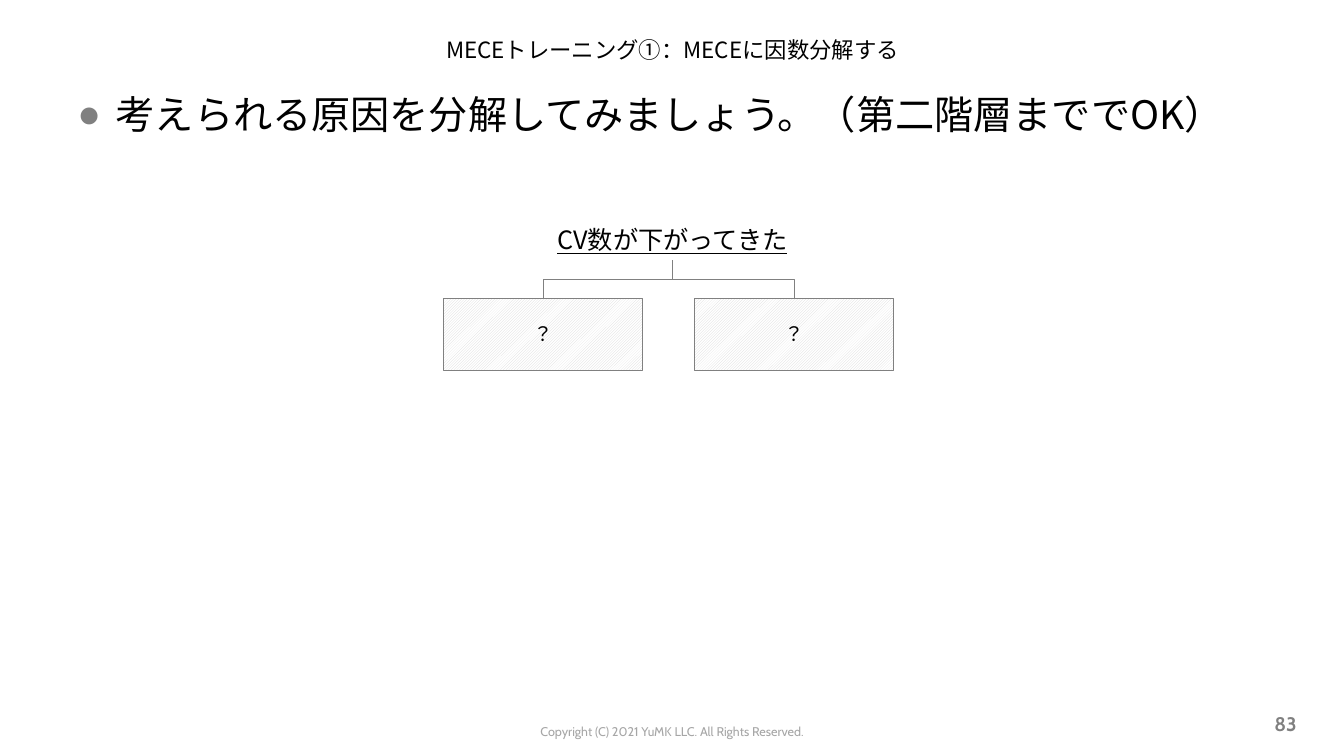
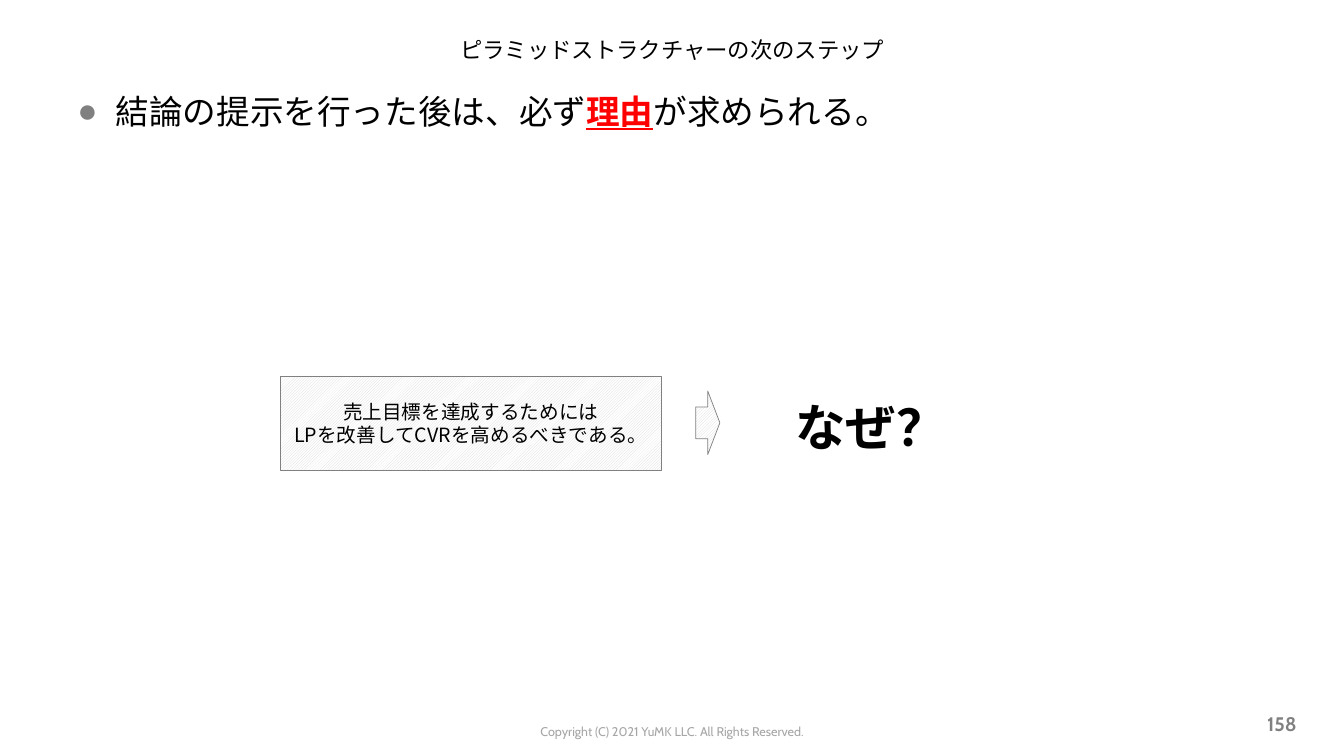
from lxml import etree
from pptx import Presentation
from pptx.dml.color import RGBColor
from pptx.enum.dml import MSO_PATTERN
from pptx.enum.shapes import MSO_CONNECTOR, MSO_SHAPE
from pptx.enum.text import MSO_ANCHOR, PP_ALIGN
from pptx.oxml.ns import qn
from pptx.util import Inches, Pt

COLORS = {
    "text": "000000",
    "gray": "808080",
    "footer": "A6A6A6",
    "hatch": "D9D9D9",
    "paper": "FFFFFF",
    "accent": "FF0000",
}
RGB = {name: RGBColor.from_string(value) for name, value in COLORS.items()}
JAPANESE = "Noto Sans CJK JP"
LATIN = "Cabin"


def write(shape, lines, size, align=PP_ALIGN.CENTER, anchor=MSO_ANCHOR.TOP,
          font=JAPANESE, color="text", bold=False, wrap=True):
    frame = shape.text_frame
    frame.word_wrap = wrap
    frame.vertical_anchor = anchor
    for index, spans in enumerate(lines):
        para = frame.paragraphs[0] if index == 0 else frame.add_paragraph()
        para.alignment = align
        for text in spans:
            span = para.add_run()
            span.text = text
            span.font.size = Pt(size)
            span.font.bold = bold
            span.font.color.rgb = RGB[color]
            span.font.name = font
            etree.SubElement(span.font._element, qn("a:ea"), typeface=font)
    return frame.paragraphs[0]


def add_hatched(slide, kind, left, top, width, height):
    shape = slide.shapes.add_shape(kind, Inches(left), Inches(top), Inches(width), Inches(height))
    shape.shadow.inherit = False
    shape.fill.patterned()
    shape.fill.pattern = MSO_PATTERN.LIGHT_UPWARD_DIAGONAL
    shape.fill.fore_color.rgb = RGB["hatch"]
    shape.fill.back_color.rgb = RGB["paper"]
    shape.line.color.rgb = RGB["gray"]
    shape.line.width = Pt(0.5)
    return shape


deck = Presentation()
deck.slide_width = Inches(13.33)
deck.slide_height = Inches(7.5)

pages = [
    ("MECEトレーニング①：MECEに因数分解する", 28,
     ["考えられる原因を分解してみましょう。（第二階層まででOK）"], "83"),
    ("ピラミッドストラクチャーの次のステップ", 24,
     ["結論の提示を行った後は、必ず", "理由", "が求められる。"], "158"),
]
slides = []
bodies = []
for title, body_size, body_spans, number in pages:
    slide = deck.slides.add_slide(deck.slide_layouts[6])
    slides.append(slide)

    box = slide.shapes.add_textbox(Inches(4.2), Inches(7.13), Inches(4.93), Inches(0.25))
    write(box, [["Copyright (C) 2021 YuMK LLC. All Rights Reserved."]], 9, font=LATIN, color="footer")

    box = slide.shapes.add_textbox(Inches(0.67), Inches(0.22), Inches(12), Inches(0.54))
    write(box, [[title]], 16, anchor=MSO_ANCHOR.MIDDLE)

    box = slide.shapes.add_textbox(Inches(0.67), Inches(0.85), Inches(12), Inches(5.79))
    para = write(box, [body_spans], body_size, align=PP_ALIGN.LEFT)
    properties = para._p.get_or_add_pPr()
    properties.set("marL", str(Inches(0.38)))
    properties.set("indent", str(-Inches(0.38)))
    bullet_color = etree.SubElement(properties, qn("a:buClr"))
    etree.SubElement(bullet_color, qn("a:srgbClr"), val=COLORS["gray"])
    etree.SubElement(properties, qn("a:buFont"), typeface="Arial")
    etree.SubElement(properties, qn("a:buChar"), char="●")
    bodies.append(para)

    box = slide.shapes.add_textbox(Inches(9.85), Inches(6.98), Inches(3.11), Inches(0.4))
    write(box, [[number]], 14, align=PP_ALIGN.RIGHT, anchor=MSO_ANCHOR.MIDDLE,
          font=LATIN, color="gray", bold=True)

tree_slide, reason_slide = slides

box = tree_slide.shapes.add_textbox(Inches(5.39), Inches(2.18), Inches(2.56), Inches(0.4))
para = write(box, [["CV数が下がってきた"]], 18, wrap=False)
para.runs[0].font.underline = True

root_x, root_bottom = 6.67, 2.58
cause_top, cause_width, cause_height = 2.96, 1.97, 0.71
for cause_left in (4.4, 6.89):
    cause = add_hatched(tree_slide, MSO_SHAPE.RECTANGLE, cause_left, cause_top, cause_width, cause_height)
    write(cause, [["？"]], 14, anchor=MSO_ANCHOR.MIDDLE)

    cause_x = cause_left + cause_width / 2
    middle_x = (root_x + cause_x) / 2
    middle_y = (root_bottom + cause_top) / 2
    half_drop = (cause_top - root_bottom) / 2
    half_span = abs(cause_x - root_x) / 2
    goes_left = cause_x < root_x
    begin_shift = -half_drop if goes_left else half_drop
    branch = tree_slide.shapes.add_connector(
        MSO_CONNECTOR.ELBOW,
        Inches(middle_x + begin_shift), Inches(middle_y - half_span),
        Inches(middle_x - begin_shift), Inches(middle_y + half_span))
    branch.line.color.rgb = RGB["gray"]
    branch.line.width = Pt(0.5)
    branch_properties = branch._element.spPr
    branch_properties.find(qn("a:xfrm")).set("rot", str((90 if goes_left else 270) * 60000))
    etree.SubElement(branch_properties, qn("a:effectLst"))

reason = bodies[1].runs[1]
reason.font.color.rgb = RGB["accent"]
reason.font.bold = True
reason.font.underline = True

conclusion = add_hatched(reason_slide, MSO_SHAPE.RECTANGLE, 2.78, 3.73, 3.78, 0.94)
write(conclusion, [["売上目標を達成するためには"], ["LPを改善してCVRを高めるべきである。"]], 14,
      anchor=MSO_ANCHOR.MIDDLE)
add_hatched(reason_slide, MSO_SHAPE.RIGHT_ARROW, 6.9, 3.88, 0.24, 0.63)
box = reason_slide.shapes.add_textbox(Inches(7.79), Inches(3.88), Inches(1.72), Inches(0.71))
write(box, [["なぜ？"]], 36, align=PP_ALIGN.LEFT, bold=True, wrap=False)

deck.save("out.pptx")
